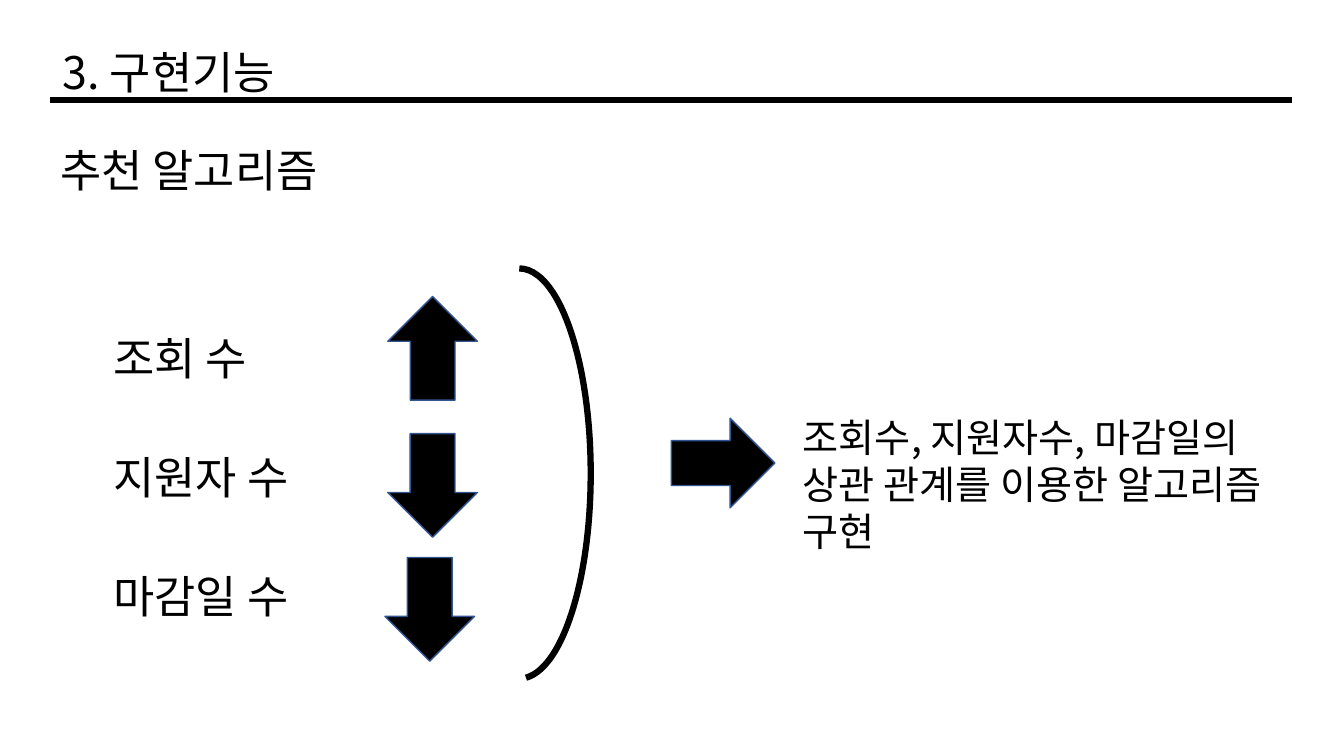
import pptx
import pptx.dml.color
import pptx.enum.shapes
import pptx.enum.text
import pptx.oxml
import pptx.oxml.ns
import pptx.util
from dataclasses import dataclass

Pt = pptx.util.Pt
SHAPE = pptx.enum.shapes.MSO_SHAPE


@dataclass(frozen=True)
class Theme:
    """Colours, font and type sizes of the slide."""
    ink: str = "000000"
    edge: str = "325491"
    font: str = "Noto Sans CJK KR"
    head: float = 32
    body: float = 28
    leading: float = 1.2
    rule: float = 4.5
    outline: float = 1


THEME = Theme()


def rgb(value):
    """Turn a hex value into a colour."""
    return pptx.dml.color.RGBColor.from_string(value)


def apply(target, values):
    """Set each named attribute on the target."""
    for name, value in values.items():
        setattr(target, name, value)


def set_line(line, colour, width):
    """Give a line its colour and width."""
    line.color.rgb = rgb(colour)
    line.width = Pt(width)


def add_text(s, box, text, size):
    """Add a wrapped text box with one paragraph."""
    tf = s.shapes.add_textbox(*map(Pt, box)).text_frame
    apply(tf, {"word_wrap": True, "margin_top": Pt(6.5), "margin_bottom": Pt(0.7),
               "auto_size": pptx.enum.text.MSO_AUTO_SIZE.SHAPE_TO_FIT_TEXT})
    p = tf.paragraphs[0]
    p.line_spacing = Pt(size * THEME.leading)
    r = p.add_run()
    r.text = text
    apply(r.font, {"size": Pt(size), "name": THEME.font})
    r.font.color.rgb = rgb(THEME.ink)
    ea = pptx.oxml.parse_xml(
        f'<a:ea {pptx.oxml.ns.nsdecls("a")} typeface="{THEME.font}"/>')
    r.font._element.find(pptx.oxml.ns.qn("a:latin")).addnext(ea)


def add_arrow(s, left, top, rotation=0):
    """Add a black block arrow, pointing down unless rotated."""
    sp = s.shapes.add_shape(SHAPE.DOWN_ARROW, Pt(left), Pt(top), Pt(64), Pt(74))
    sp.rotation = rotation
    sp.shadow.inherit = False
    sp.fill.solid()
    sp.fill.fore_color.rgb = rgb(THEME.ink)
    set_line(sp.line, THEME.edge, THEME.outline)


def add_header(s, left, top, width):
    """Place the section title, its rule and the subtitle."""
    add_text(s, (left + 1.5, top, 334, 46), "3. 구현기능", THEME.head)
    rule = s.shapes.add_connector(
        pptx.enum.shapes.MSO_CONNECTOR.STRAIGHT,
        Pt(left), Pt(top + 46), Pt(left + width), Pt(top + 46))
    set_line(rule.line, THEME.ink, THEME.rule)
    rule._element.spPr.append(
        pptx.oxml.parse_xml(f'<a:effectLst {pptx.oxml.ns.nsdecls("a")}/>'))
    add_text(s, (left, top + 70.5, 308, 46), "추천 알고리즘", THEME.head)


def add_factors(s, left, top):
    """Place the three factors with their arrows and the closing arc."""
    factors = [("조회 수", 203, -18, 180),
               ("지원자 수", 203, -5, 0),
               ("마감일 수", 201, -1.5, 0)]
    for i, (label, dx, dy, rotation) in enumerate(factors):
        row = top + 85 * i
        add_text(s, (left, row, 308, 46), label, THEME.head)
        add_arrow(s, left + dx, row + dy, rotation)
    arc = s.shapes.add_shape(
        SHAPE.ARC, Pt(left + 246), Pt(top - 38), Pt(102), Pt(293))
    arc.adjustments[0] = 162
    arc.adjustments[1] = 52.877
    arc.shadow.inherit = False
    arc.fill.background()
    set_line(arc.line, THEME.ink, THEME.rule)


def add_result(s, left, top):
    """Place the right-pointing arrow and the resulting feature."""
    add_arrow(s, left, top + 5, 270)
    add_text(s, (left + 82, top, 374.5, 108.5),
             "조회수, 지원자수, 마감일의 상관 관계를 이용한 알고리즘 구현",
             THEME.body)


def main():
    """Build and save the slide."""
    prs = pptx.Presentation()
    apply(prs, {"slide_width": Pt(960), "slide_height": Pt(540)})
    s = prs.slides.add_slide(prs.slide_layouts[6])
    add_header(s, 36, 25.25, 887)
    add_factors(s, 74, 229.75)
    add_result(s, 484.5, 288.75)
    prs.save("out.pptx")


if __name__ == "__main__":
    main()
